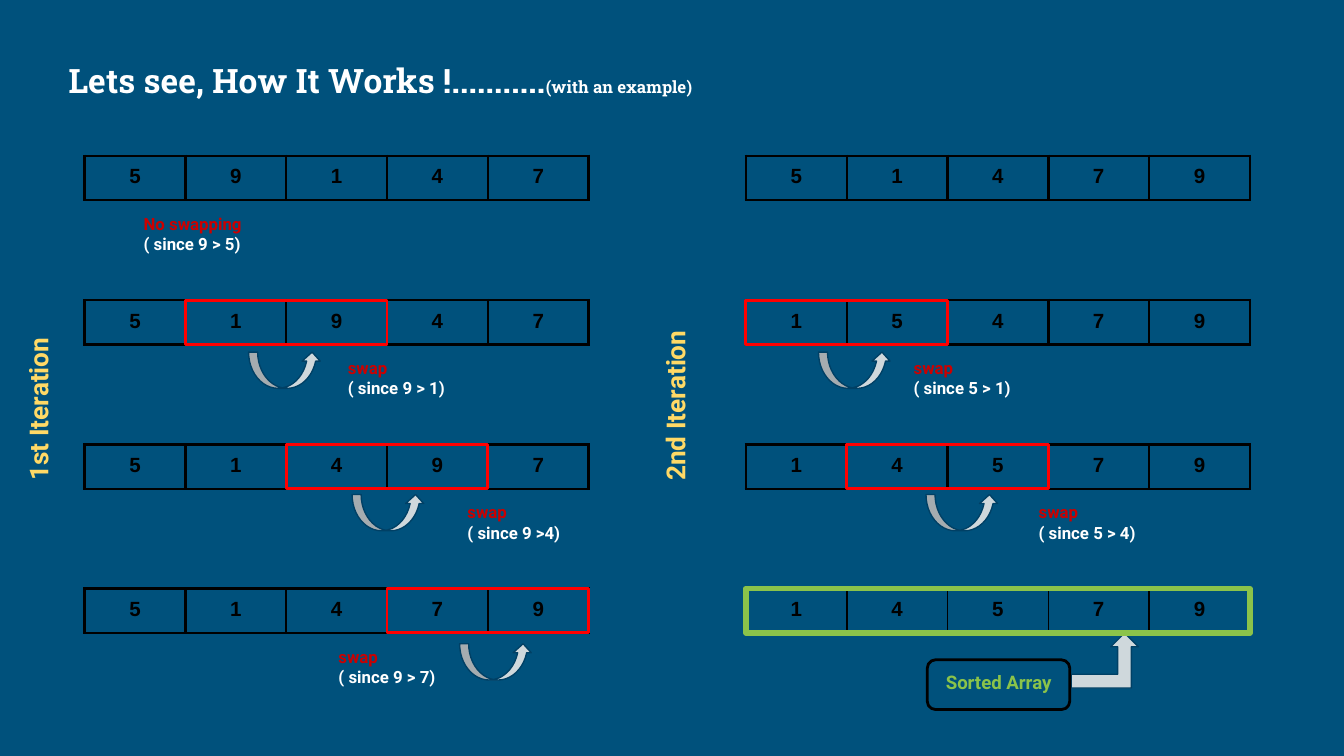
import pptx
import pptx.dml.color
import pptx.enum.shapes
import pptx.enum.text
import pptx.oxml
import pptx.oxml.ns
import pptx.util

Inches = pptx.util.Inches
Pt = pptx.util.Pt
RGBColor = pptx.dml.color.RGBColor
SHAPE = pptx.enum.shapes.MSO_SHAPE
ALIGN = pptx.enum.text.PP_ALIGN
ANCHOR = pptx.enum.text.MSO_ANCHOR

NAVY = RGBColor(0x00, 0x51, 0x7C)
EDGE = RGBColor(0x00, 0x40, 0x65)
WHITE = RGBColor(0xFF, 0xFF, 0xFF)
BLACK = RGBColor(0x00, 0x00, 0x00)
RED = RGBColor(0xFF, 0x00, 0x00)
CRIMSON = RGBColor(0xCC, 0x00, 0x00)
GREEN = RGBColor(0x8B, 0xC3, 0x4A)
YELLOW = RGBColor(0xFF, 0xD9, 0x66)
SILVER = RGBColor(0xCF, 0xD8, 0xDC)

CELL = 0.75
HIGH = 0.33
TOP = 1.16
BOTTOM = 4.38
LEFT = 0.63
RIGHT = 5.55

# array left, row, values, first swapped cell, arrow place
STEPS = [
    (LEFT, 0, "59147", None, None),
    (LEFT, 1, "51947", 1, (1.85, 2.62)),
    (LEFT, 2, "51497", 2, (2.62, 3.68)),
    (LEFT, 3, "51479", 3, (3.42, 4.79)),
    (RIGHT, 0, "51479", None, None),
    (RIGHT, 1, "15479", 0, (6.09, 2.62)),
    (RIGHT, 2, "14579", 1, (6.89, 3.68)),
    (RIGHT, 3, "14579", None, None),
]

# left, row, verdict, reason
NOTES = [
    (0.97, 0, "No swapping", "( since 9 > 5)"),
    (2.49, 1, "swap", "( since 9 > 1)"),
    (3.38, 2, "swap", "( since 9 >4)"),
    (2.42, 3, "swap", "( since 9 > 7)"),
    (6.7, 1, "swap", "( since 5 > 1)"),
    (7.63, 2, "swap", "( since 5 > 4)"),
]


def row_top(row):
    return TOP + row * (BOTTOM - TOP) / 3


def style(run, size, color, font):
    run.font.size = Pt(size)
    run.font.bold = True
    run.font.name = font
    run.font.color.rgb = color


def pad(frame):
    frame.margin_left = frame.margin_right = Inches(0.1)
    frame.margin_top = frame.margin_bottom = Inches(0.1)


def add_title(slide):
    title = slide.shapes.title
    title.left, title.top = Inches(0.41), Inches(0.27)
    title.width, title.height = Inches(6.56), Inches(0.65)
    frame = title.text_frame
    pad(frame)
    frame.auto_size = pptx.enum.text.MSO_AUTO_SIZE.NONE
    frame.vertical_anchor = ANCHOR.MIDDLE
    line = frame.paragraphs[0]
    line.text = "Lets see, How It Works !..........."
    line.alignment = ALIGN.LEFT
    line.add_run().text = "(with an example)"
    for run, size in zip(line.runs, (18, 9)):
        style(run, size, WHITE, "Roboto Slab")


def add_label(slide, box, lines, size, colors, align=ALIGN.LEFT):
    label = slide.shapes.add_textbox(*map(Inches, box))
    frame = label.text_frame
    pad(frame)
    frame.word_wrap = False
    frame.text = "\n".join(lines)
    for line, color in zip(frame.paragraphs, colors):
        line.alignment = align
        style(line.runs[0], size, color, "Roboto")
    return label


def add_shape(slide, kind, box, line, width, fill=None):
    shape = slide.shapes.add_shape(kind, *map(Inches, box))
    shape.shadow.inherit = False
    if fill is None:
        shape.fill.background()
    else:
        shape.fill.solid()
        shape.fill.fore_color.rgb = fill
    shape.line.color.rgb = line
    shape.line.width = Pt(width)


def add_border(cell, width):
    props = cell._tc.get_or_add_tcPr()
    for side in "LRTB":
        props.append(pptx.oxml.parse_xml(
            f'<a:ln{side} {pptx.oxml.ns.nsdecls("a")} w="{Pt(width)}">'
            f'<a:solidFill><a:srgbClr val="{BLACK}"/></a:solidFill>'
            f'</a:ln{side}>'))


def add_array(slide, left, top, values, width):
    count = len(values)
    box = (left, top, CELL * count, HIGH)
    table = slide.shapes.add_table(1, count, *map(Inches, box)).table
    table.first_row = table.horz_banding = False
    for cell, value in zip(table.iter_cells(), values):
        cell.margin_left = cell.margin_right = Inches(0.07)
        cell.margin_top = cell.margin_bottom = Inches(0.07)
        add_border(cell, width)
        cell.fill.background()
        cell.text = value
        line = cell.text_frame.paragraphs[0]
        line.alignment = ALIGN.CENTER
        style(line.runs[0], 11, BLACK, "Arial")


def add_step(slide, left, row, values, pair, arrow):
    top = row_top(row)
    is_last = left == RIGHT and row == 3
    add_array(slide, left, top, values, 1 if is_last else 1.5)
    if pair is not None:
        add_shape(slide, SHAPE.CURVED_UP_ARROW, (*arrow, 0.54, 0.27),
                  EDGE, 0.75, SILVER)
        add_shape(slide, SHAPE.RECTANGLE,
                  (left + pair * CELL, top, 2 * CELL, HIGH), RED, 1.5)


def add_result(slide):
    """Frame the sorted array and point its label at it."""
    add_shape(slide, SHAPE.BENT_UP_ARROW, (7.97, 4.71, 0.5, 0.41),
              EDGE, 0.75, SILVER)
    add_shape(slide, SHAPE.ROUNDED_RECTANGLE, (6.9, 4.91, 1.06, 0.37),
              BLACK, 1.5)
    add_label(slide, (6.89, 4.91, 1.08, 0.37), ["Sorted Array"], 10,
              [GREEN], ALIGN.CENTER)
    add_shape(slide, SHAPE.RECTANGLE, (RIGHT, row_top(3), 5 * CELL, HIGH),
              GREEN, 3)


def main():
    deck = pptx.Presentation()
    deck.slide_width = Inches(10)
    deck.slide_height = deck.slide_width * 9 // 16
    slide = deck.slides.add_slide(deck.slide_layouts[5])
    slide.background.fill.solid()
    slide.background.fill.fore_color.rgb = NAVY
    add_title(slide)
    for step in STEPS:
        add_step(slide, *step)
    for left, row, verdict, reason in NOTES:
        add_label(slide, (left, row_top(row) + 0.33, 0.93, 0.5),
                  [verdict, reason], 9, [CRIMSON, WHITE])
    for left, text in ((-0.42, "1st Iteration"), (4.32, "2nd Iteration")):
        label = add_label(slide, (left, 2.75, 1.41, 0.44), [text], 14,
                          [YELLOW])
        label.rotation = 270
    add_result(slide)
    deck.save("out.pptx")


if __name__ == "__main__":
    main()
